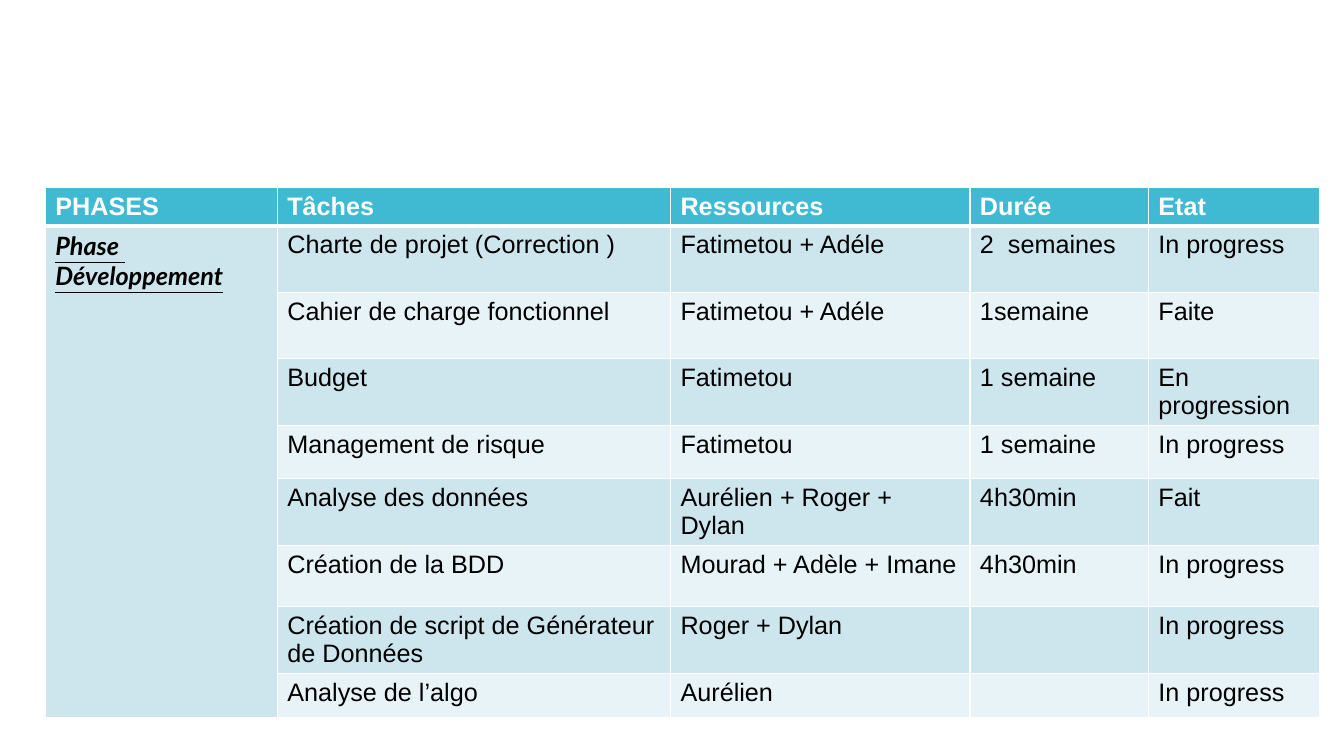
from lxml import etree
from pptx import Presentation
from pptx import util as u
from pptx.dml.color import RGBColor
from pptx.oxml.ns import qn

WHITE, BLACK = "FFFFFF", "000000"
HEADER, BANDS = "40BAD2", ("CDE6EE", "E8F3F7")

COLUMNS = [2.3, 3.9, 2.97, 1.77, 1.7]
ROWS = [0.37, 0.66, 0.66, 0.66, 0.53, 0.66, 0.61, 0.66, 0.44]
HEADINGS = ["PHASES", "Tâches", "Ressources", "Durée", "Etat"]
PHASE = "Phase \nDéveloppement"
TASKS = [
    ["Charte de projet (Correction )", "Fatimetou + Adéle", "2  semaines", "In progress"],
    ["Cahier de charge fonctionnel", "Fatimetou + Adéle", "1semaine", "Faite"],
    ["Budget", "Fatimetou", "1 semaine", "En progression"],
    ["Management de risque", "Fatimetou", "1 semaine", "In progress"],
    ["Analyse des données", "Aurélien + Roger + Dylan", "4h30min", "Fait"],
    ["Création de la BDD", "Mourad + Adèle + Imane", "4h30min", "In progress"],
    ["Création de script de Générateur de Données", "Roger + Dylan", "", "In progress"],
    ["Analyse de l’algo", "Aurélien", "", "In progress"],
]


def rgb(code):
    return RGBColor.from_string(code)


def set_borders(cell, top=1, bottom=1):
    """Draw white cell edges, with widths in points."""
    tc_pr = cell._tc.get_or_add_tcPr()
    for side, width in (("L", 1), ("R", 1), ("T", top), ("B", bottom)):
        ln = etree.SubElement(tc_pr, qn(f"a:ln{side}"), w=str(u.Pt(width)))
        fill = etree.SubElement(ln, qn("a:solidFill"))
        etree.SubElement(fill, qn("a:srgbClr"), val=WHITE)


def fill_cell(cell, color):
    cell.fill.solid()
    cell.fill.fore_color.rgb = rgb(color)


def write_cell(cell, content, color=BLACK, font="Arial", bold=False, accent=False):
    """Set the text; accent makes it italic and underlined."""
    tf = cell.text_frame
    tf.text = content
    for p in tf.paragraphs:
        p.font.size = u.Pt(18)
        for r in p.runs:
            r.font.size = u.Pt(18)
            r.font.name = font
            r.font.bold = bold
            r.font.italic = r.font.underline = accent
            r.font.color.rgb = rgb(color)


def add_grid(slide, left, top):
    """Add an empty table with its column widths and row heights."""
    frame = slide.shapes.add_table(
        len(ROWS), len(COLUMNS), u.Inches(left), u.Inches(top),
        u.Inches(sum(COLUMNS)), u.Inches(sum(ROWS)))
    table = frame.table
    for column, width in zip(table.columns, COLUMNS):
        column.width = u.Inches(width)
    for row, height in zip(table.rows, ROWS):
        row.height = u.Inches(height)
    return table


def style_grid(table):
    """Colour the header and the alternating task rows."""
    for i, row in enumerate(table.rows):
        for cell in row.cells:
            set_borders(cell, top=3 if i == 1 else 1, bottom=3 if i == 0 else 1)
            fill_cell(cell, BANDS[(i - 1) % 2] if i else HEADER)


def main():
    prs = Presentation()
    prs.slide_width, prs.slide_height = u.Inches(13.33), u.Inches(7.5)
    slide = prs.slides.add_slide(prs.slide_layouts[6])

    # Task table
    table = add_grid(slide, 0.45, 1.86)
    style_grid(table)

    # Header
    for col, heading in enumerate(HEADINGS):
        write_cell(table.cell(0, col), heading, WHITE, bold=True)

    # Phase, spanning all of its tasks
    phase = table.cell(1, 0)
    phase.merge(table.cell(len(TASKS), 0))
    write_cell(phase, PHASE, font="Lato", bold=True, accent=True)

    # Tasks
    for row, task in enumerate(TASKS, start=1):
        for col, content in enumerate(task, start=1):
            write_cell(table.cell(row, col), content)

    prs.save("out.pptx")


main()
